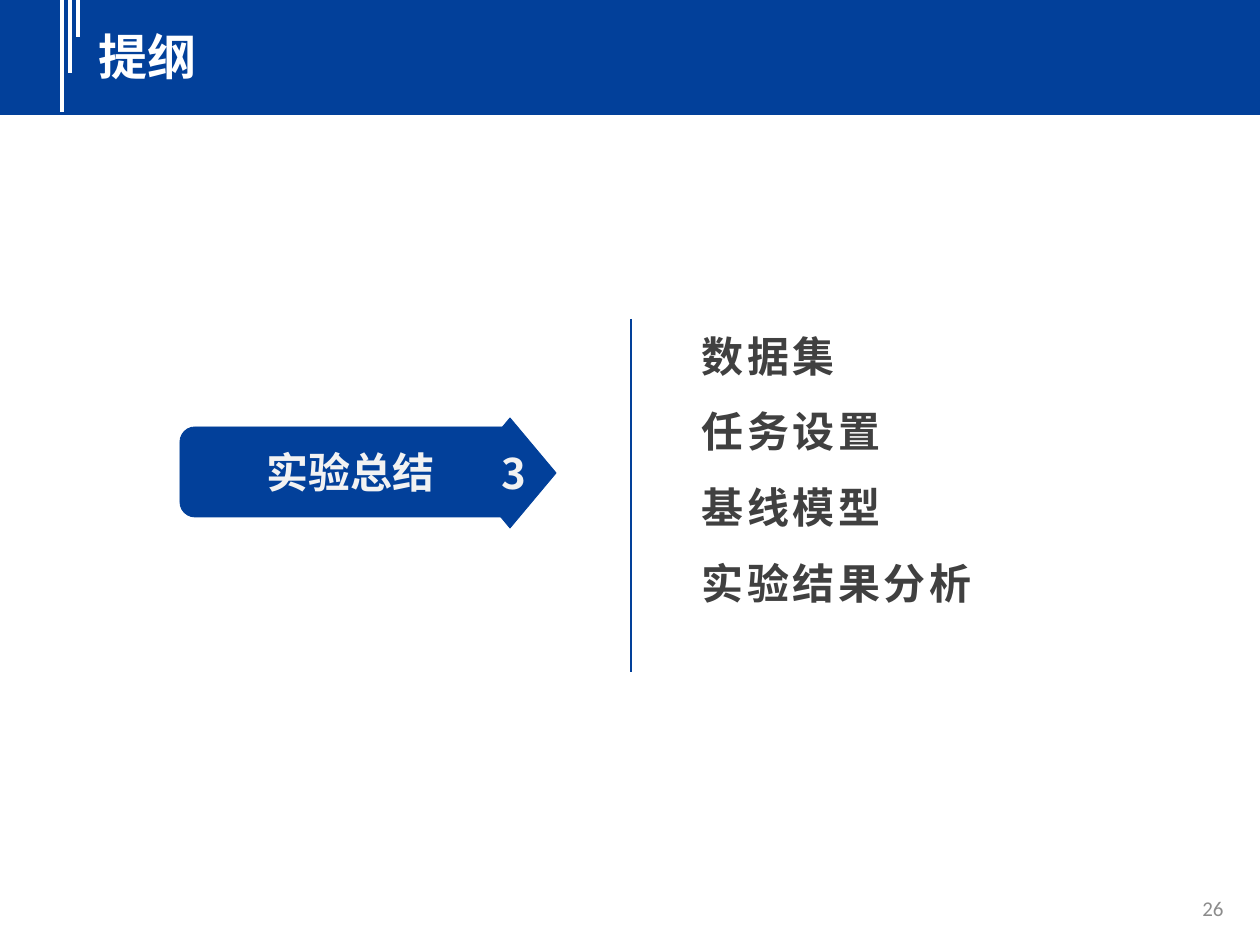
from dataclasses import dataclass

import lxml.etree
import pptx
import pptx.dml.color
import pptx.enum.shapes
import pptx.enum.text
import pptx.oxml.ns
import pptx.util

EMU_PER_PX = 914400 / 126
BLUE = pptx.dml.color.RGBColor(0x02, 0x40, 0x9A)
WHITE = pptx.dml.color.RGBColor(0xFF, 0xFF, 0xFF)
PALE = pptx.dml.color.RGBColor(0xF2, 0xF2, 0xF2)
DARK = pptx.dml.color.RGBColor(0x40, 0x40, 0x40)
GREY = pptx.dml.color.RGBColor(0x8C, 0x8C, 0x8C)
HEADING_FONT = "Noto Sans CJK SC"
BASE_FONT = "Calibri"
SHAPE = pptx.enum.shapes.MSO_SHAPE
ALIGN = pptx.enum.text.PP_ALIGN
ANCHOR = pptx.enum.text.MSO_ANCHOR


@dataclass(frozen=True)
class Frame:
    left: int
    top: int
    width: int
    height: int


@dataclass(frozen=True)
class Style:
    size: int
    color: pptx.dml.color.RGBColor
    font: str = HEADING_FONT
    bold: bool = True
    spacing: int = 0  # hundredths of a point between letters
    align: ALIGN = ALIGN.LEFT


@dataclass(frozen=True)
class Rule:
    x: int
    top: int
    bottom: int
    color: pptx.dml.color.RGBColor
    weight: float


@dataclass(frozen=True)
class ArrowPart:
    kind: SHAPE
    frame: Frame
    text: str
    font: str
    inset: int  # left inset that shifts the centred text


TITLE_STYLE = Style(28, WHITE)
LIST_STYLE = Style(24, DARK, spacing=200)
NUMBER_STYLE = Style(12, GREY, BASE_FONT, bold=False, align=ALIGN.RIGHT)

TOPICS = ["数据集", "任务设置", "基线模型", "实验结果分析"]
BANNER_RULES = [Rule(62 + 8 * i, -4, bottom, WHITE, 2.25)
                for i, bottom in enumerate([112, 73, 37])]
DIVIDER = Rule(631, 319, 672, BLUE, 1.5)
ARROW = [
    ArrowPart(SHAPE.ROUNDED_RECTANGLE, Frame(180, 427, 340, 90), "实验总结", BASE_FONT, 13),
    ArrowPart(SHAPE.DIAMOND, Frame(464, 418, 92, 110), "3", HEADING_FONT, 21),
]


def px(length: int) -> pptx.util.Emu:
    return pptx.util.Emu(round(length * EMU_PER_PX))


def place(shape, frame: Frame) -> None:
    shape.left, shape.top = px(frame.left), px(frame.top)
    shape.width, shape.height = px(frame.width), px(frame.height)


def write(para, text: str, style: Style) -> None:
    """Add one run and give the whole paragraph its style."""
    para.add_run().text = text
    para.alignment = style.align
    para.font.size = pptx.util.Pt(style.size)
    para.font.bold = style.bold
    para.font.color.rgb = style.color
    para.font.name = style.font
    # East Asian typeface and letter spacing
    properties = para._p.pPr.find(pptx.oxml.ns.qn("a:defRPr"))
    east_asian = lxml.etree.SubElement(properties, pptx.oxml.ns.qn("a:ea"))
    east_asian.set("typeface", style.font)
    if style.spacing:
        properties.set("spc", str(style.spacing))


def prepare(shape, anchor: ANCHOR, wrap: bool = True):
    text_frame = shape.text_frame
    text_frame.word_wrap = wrap
    text_frame.auto_size = pptx.enum.text.MSO_AUTO_SIZE.NONE
    text_frame.vertical_anchor = anchor
    return text_frame


def add_block(page, kind: SHAPE, frame: Frame):
    block = page.shapes.add_shape(kind, 0, 0, 0, 0)
    place(block, frame)
    block.shadow.inherit = False
    block.fill.solid()
    block.fill.fore_color.rgb = BLUE
    block.line.fill.background()
    return block


def add_rule(page, rule: Rule) -> None:
    line = page.shapes.add_connector(
        pptx.enum.shapes.MSO_CONNECTOR.STRAIGHT,
        px(rule.x), px(rule.top), px(rule.x), px(rule.bottom))
    line.line.color.rgb = rule.color
    line.line.width = pptx.util.Pt(rule.weight)
    lxml.etree.SubElement(line.element.spPr, pptx.oxml.ns.qn("a:effectLst"))


def add_arrow_part(page, part: ArrowPart) -> None:
    block = add_block(page, part.kind, part.frame)
    block.line.color.rgb = BLUE
    block.line.width = pptx.util.Pt(0.5)
    text_frame = prepare(block, ANCHOR.MIDDLE, wrap=False)
    text_frame.margin_left = px(part.inset)
    write(text_frame.paragraphs[0], part.text,
          Style(24, PALE, part.font, align=ALIGN.CENTER))


def fill_topics(body) -> None:
    place(body, Frame(689, 324, 400, 330))
    text_frame = prepare(body, ANCHOR.TOP)
    for i, topic in enumerate(TOPICS):
        para = text_frame.add_paragraph() if i else text_frame.paragraphs[0]
        para.space_before = pptx.util.Pt(14.4 if i else 0)
        properties = para._p.get_or_add_pPr()
        properties.set("marL", "0")
        properties.set("indent", "0")
        lxml.etree.SubElement(properties, pptx.oxml.ns.qn("a:buNone"))
        write(para, topic, LIST_STYLE)


def main() -> None:
    deck = pptx.Presentation()
    deck.slide_width, deck.slide_height = px(1260), px(945)
    page = deck.slides.add_slide(deck.slide_layouts[1])
    title, body = page.placeholders

    # Banner with its three rules, and the title in front of it
    add_block(page, SHAPE.RECTANGLE, Frame(0, -4, 1260, 119))
    for rule in BANNER_RULES:
        add_rule(page, rule)
    place(title, Frame(86, 20, 1149, 72))
    title.element.getparent().append(title.element)
    write(prepare(title, ANCHOR.TOP).paragraphs[0], "提纲", TITLE_STYLE)

    # Section arrow, divider and topics
    for part in ARROW:
        add_arrow_part(page, part)
    add_rule(page, DIVIDER)
    fill_topics(body)

    # Page number
    number = page.shapes.add_textbox(px(1162), px(883), px(74), px(50))
    write(prepare(number, ANCHOR.MIDDLE).paragraphs[0], "26", NUMBER_STYLE)

    deck.save("out.pptx")


if __name__ == "__main__":
    main()
